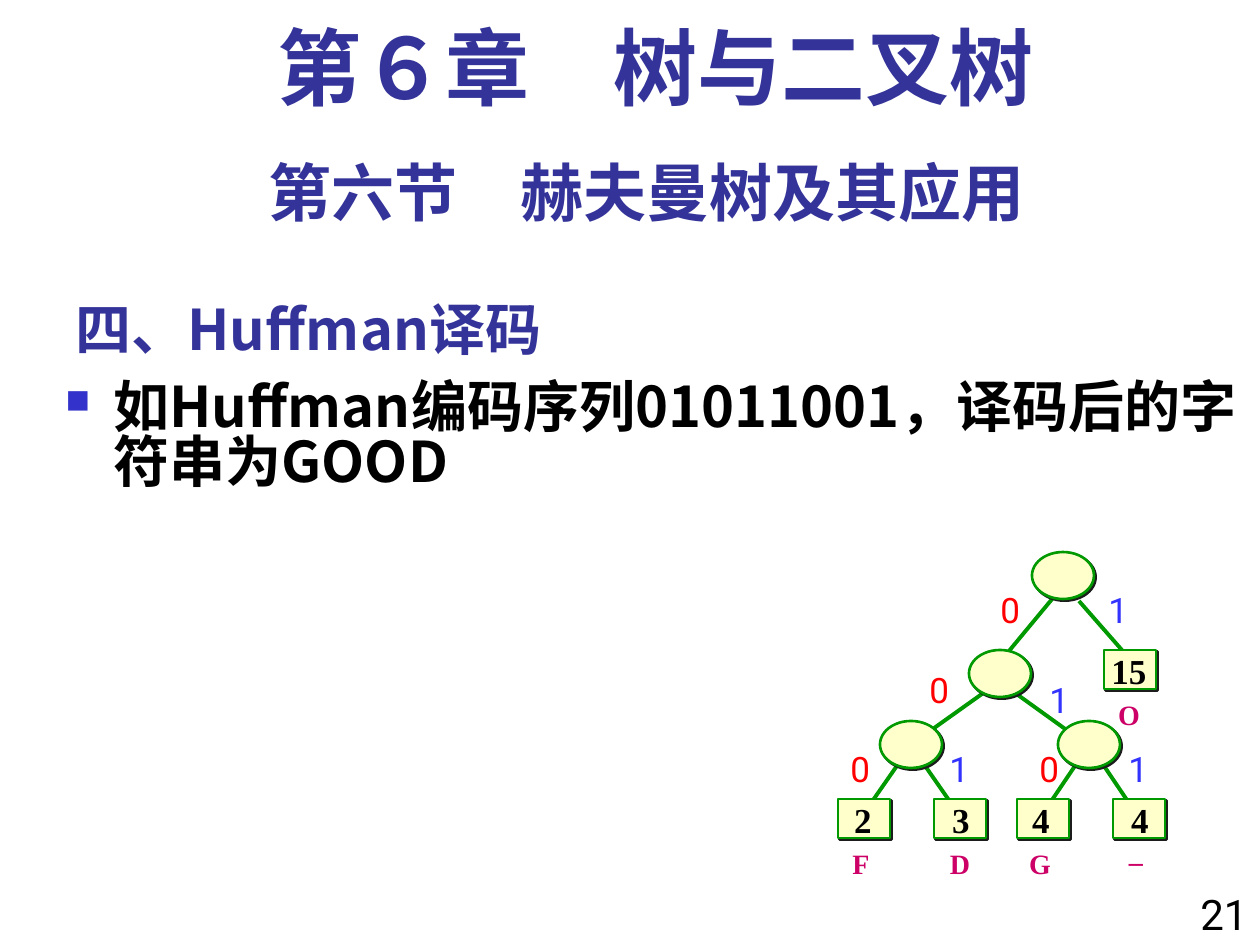
from typing import NamedTuple

from lxml.etree import SubElement
from pptx import Presentation
from pptx.dml.color import RGBColor
from pptx.enum.shapes import MSO_CONNECTOR, MSO_SHAPE
from pptx.enum.text import MSO_ANCHOR, PP_ALIGN
from pptx.oxml.ns import qn
from pptx.util import Pt

EMU_PER_PX = 914400 / 126
NAVY = RGBColor(0x33, 0x33, 0x99)
BLACK = RGBColor(0x00, 0x00, 0x00)
GREEN = RGBColor(0x00, 0x99, 0x00)
CREAM = RGBColor(0xFF, 0xFF, 0xCC)
RED = RGBColor(0xFF, 0x00, 0x00)
BLUE = RGBColor(0x33, 0x33, 0xFF)
BULLET_BLUE = RGBColor(0x33, 0x33, 0xCC)
MAGENTA = RGBColor(0xCC, 0x00, 0x66)
SHADOW = RGBColor(0x1C, 0x1C, 0x1C)
SERIF = "Times New Roman"
SANS = "Roboto"
CHINESE = "Noto Sans CJK SC"


class Node(NamedTuple):
    left: int
    top: int


class Edge(NamedTuple):
    start_x: int
    start_y: int
    end_x: int
    end_y: int


class Leaf(NamedTuple):
    left: int
    top: int
    weight: str
    weight_x: int
    letter: str
    letter_x: int
    letter_y: int


class Bit(NamedTuple):
    left: int
    top: int
    digit: str


EDGES = [
    Edge(1079, 601, 1135, 665), Edge(1058, 592, 1009, 651),
    Edge(1011, 690, 1068, 731), Edge(989, 689, 930, 731),
    Edge(1100, 760, 1131, 806), Edge(1079, 760, 1048, 806),
    Edge(921, 760, 953, 806), Edge(901, 760, 869, 806),
]
NODES = [Node(1032, 552), Node(969, 650), Node(880, 721), Node(1058, 721)]
LEAVES = [
    Leaf(1104, 650, "15", 1129, "O", 1129, 714),
    Leaf(838, 799, "2", 863, "F", 861, 863),
    Leaf(934, 799, "3", 961, "D", 960, 863),
    Leaf(1017, 799, "4", 1041, "G", 1040, 863),
    Leaf(1113, 799, "4", 1140, "_", 1136, 851),
]
BITS = [
    Bit(988, 582, "0"), Bit(917, 662, "0"), Bit(838, 741, "0"), Bit(1027, 741, "0"),
    Bit(1096, 582, "1"), Bit(1037, 672, "1"), Bit(1116, 741, "1"), Bit(937, 741, "1"),
]


def px(length: int) -> int:
    return round(length * EMU_PER_PX)


def add_bullet(para) -> None:
    properties = para._p.get_or_add_pPr()
    properties.set("marL", str(px(48)))
    properties.set("indent", str(px(-48)))
    color = SubElement(properties, qn("a:buClr"))
    SubElement(color, qn("a:srgbClr"), val=str(BULLET_BLUE))
    SubElement(properties, qn("a:buSzPct"), val="60000")
    SubElement(properties, qn("a:buChar"), char="■")


def add_text(page, text: str, left: int, top: int, width: int, height: int, *,
             size: int, color: RGBColor, font: str, bold: bool = False,
             align=PP_ALIGN.LEFT, anchor=MSO_ANCHOR.TOP, wrap: bool = True,
             spacing: float = 1.0, bullet: bool = False) -> None:
    box = page.shapes.add_textbox(px(left), px(top), px(width), px(height))
    frame = box.text_frame
    frame.word_wrap = wrap
    frame.vertical_anchor = anchor
    para = frame.paragraphs[0]
    para.alignment = align
    para.line_spacing = spacing
    if bullet:
        add_bullet(para)
    span = para.add_run()
    span.text = text
    span.font.name = font
    span.font.size = Pt(size)
    span.font.bold = bold
    span.font.color.rgb = color
    SubElement(span._r.get_or_add_rPr(), qn("a:ea"), typeface=CHINESE)


def add_edge(page, edge: Edge) -> None:
    line = page.shapes.add_connector(MSO_CONNECTOR.STRAIGHT, *map(px, edge))
    line.line.color.rgb = GREEN
    line.line.width = Pt(2.25)
    SubElement(line._element.spPr, qn("a:effectLst"))


def add_block(page, kind, left: int, top: int, width: int, height: int) -> None:
    block = page.shapes.add_shape(kind, px(left), px(top), px(width), px(height))
    block.fill.solid()
    block.fill.fore_color.rgb = CREAM
    block.line.color.rgb = GREEN
    block.line.width = Pt(1.5)
    block.shadow.inherit = False
    effects = block._element.spPr.find(qn("a:effectLst"))
    shadow = SubElement(effects, qn("a:outerShdw"), dist=str(Pt(1.4)),
                        dir="2700000", algn="ctr", rotWithShape="0")
    SubElement(shadow, qn("a:srgbClr"), val=str(SHADOW))


def add_centered(page, text: str, center_x: int, center_y: int, size: int,
                 color: RGBColor) -> None:
    add_text(page, text, center_x - 30, center_y - 28, 60, 56, size=size,
             color=color, font=SERIF, bold=True, align=PP_ALIGN.CENTER,
             anchor=MSO_ANCHOR.MIDDLE, wrap=False)


def add_tree(page) -> None:
    for edge in EDGES:
        add_edge(page, edge)
    for node in NODES:
        add_block(page, MSO_SHAPE.OVAL, node.left, node.top, 62, 47)
    for leaf in LEAVES:
        add_block(page, MSO_SHAPE.RECTANGLE, leaf.left, leaf.top, 52, 39)
        add_centered(page, leaf.weight, leaf.weight_x, leaf.top + 20, 20, BLACK)
        add_centered(page, leaf.letter, leaf.letter_x, leaf.letter_y, 16, MAGENTA)
    for bit in BITS:
        add_text(page, bit.digit, bit.left, bit.top, 59, 55, size=20, font=SANS,
                 color=RED if bit.digit == "0" else BLUE)


def main() -> None:
    deck = Presentation()
    deck.slide_width, deck.slide_height = px(1260), px(945)
    page = deck.slides.add_slide(deck.slide_layouts[6])
    add_text(page, "四、Huffman译码", 63, 273, 788, 95, size=32, color=NAVY,
             font=CHINESE, bold=True, anchor=MSO_ANCHOR.BOTTOM, spacing=0.81)
    add_text(page, "21", 1164, 882, 96, 74, size=24, color=BLACK, font=SANS,
             align=PP_ALIGN.RIGHT)
    add_text(page, "第六节　赫夫曼树及其应用", 63, 147, 1166, 88, size=36,
             color=NAVY, font=SANS, bold=True, align=PP_ALIGN.CENTER)
    add_text(page, "如Huffman编码序列01011001，译码后的字符串为GOOD", 53, 378, 1207, 567,
             size=32, color=BLACK, font=CHINESE, bold=True, spacing=0.81, bullet=True)
    add_text(page, "第６章　树与二叉树", 84, 21, 1144, 105, size=48, color=NAVY,
             font=SERIF, bold=True, align=PP_ALIGN.CENTER, spacing=0.9)
    add_tree(page)


    deck.save("out.pptx")


if __name__ == "__main__":
    main()
